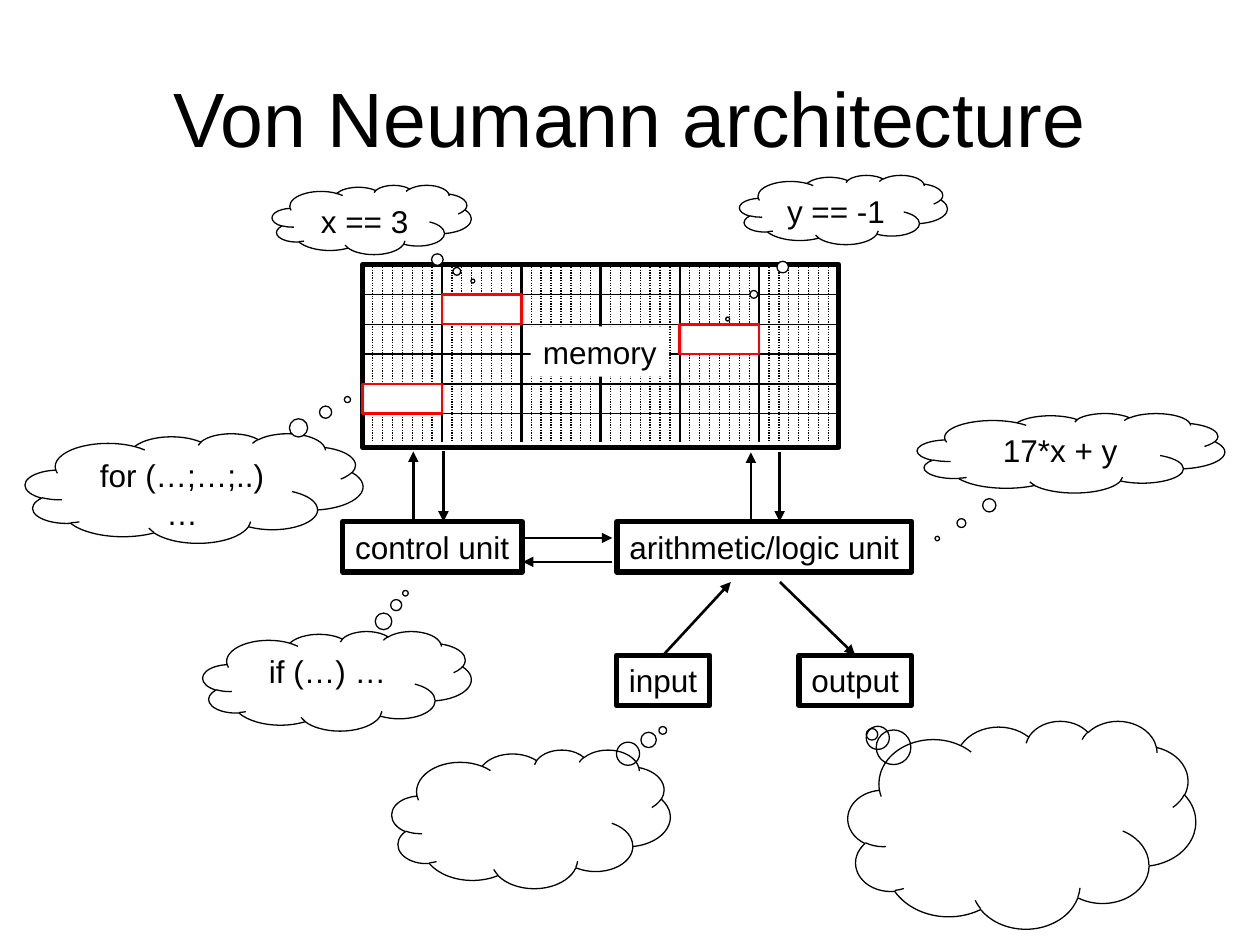
"""Build a slide that explains the Von Neumann architecture."""
from typing import NamedTuple, Optional

from lxml.etree import SubElement
from pptx import Presentation
from pptx.dml.color import RGBColor
from pptx.enum.dml import MSO_LINE
from pptx.enum.shapes import MSO_CONNECTOR, MSO_SHAPE
from pptx.enum.text import MSO_ANCHOR, MSO_AUTO_SIZE, PP_ALIGN
from pptx.oxml.ns import qn
from pptx.util import Pt

COLORS = {"ink": "000000", "paper": "FFFFFF", "cell": "FF0000"}
FONT = "Arial"
THIN, MEDIUM, THICK = 0.75, 1.5, 3
TOP_SIDE = 0

MEMORY_LEFT, MEMORY_TOP = 207.3, 151.2
MEMORY_WIDTH, MEMORY_HEIGHT = 272, 104.4
COLUMNS, ROWS, BITS = 6, 6, 8
COLUMN_WIDTH, ROW_HEIGHT = 45.3, 17.05
GRID_BOTTOM = 252.7


class Unit(NamedTuple):
    text: str
    left: float
    top: float
    width: float
    height: float = 28.8


class Arrow(NamedTuple):
    start: tuple[float, float]
    end: tuple[float, float]
    start_unit: Optional[str] = None
    end_unit: Optional[str] = None


class Cell(NamedTuple):
    column: int
    row: int


class Cloud(NamedTuple):
    text: str
    left: float
    top: float
    width: float
    height: float
    tip: tuple[float, float]
    fill: Optional[str] = None


PROCESSORS = [
    Unit("control unit", 195.9, 298.1, 102.5),
    Unit("arithmetic/logic unit", 352.6, 298.1, 168.5),
]
DEVICES = [
    Unit("input", 352.3, 374.4, 53.3),
    Unit("output", 456.6, 374.4, 64.1),
]
LABEL = Unit("memory", 303.2, 186.5, 79.2)
ARROWS = [
    Arrow((236.2, 298.1), (236.2, 258)),
    Arrow((429.1, 298.1), (429.1, 258.5)),
    Arrow((253.4, 258), (253.4, 298.1)),
    Arrow((445.5, 258.5), (445.5, 298.1)),
    Arrow((298.8, 307.4), (349.9, 307.4)),
    Arrow((349.9, 321.1), (298.8, 321.1)),
    Arrow((445.7, 332.6), (486, 372.2), end_unit="output"),
    Arrow((378, 372.2), (417.6, 332.6), start_unit="input"),
]
CELLS = [Cell(1, 1), Cell(4, 2), Cell(0, 4)]
CLOUDS = [
    Cloud("17*x + y", 524.2, 236.2, 175.7, 45.4, (-0.435, 1.076)),
    Cloud("", 223.9, 428.4, 159.1, 79.2, (0.473, -0.639)),
    Cloud("", 484.6, 411.8, 198.7, 118.8, (-0.431, -0.434)),
    Cloud("if (…) …", 115.9, 360.7, 153.4, 56.9, (0.255, -0.882)),
    Cloud("x == 3", 155.5, 105.8, 113.8, 39.6, (0.508, 0.885), "paper"),
    Cloud("y == -1", 422.6, 100.1, 118.8, 39.6, (-0.557, 1.576), "paper"),
    Cloud("for (…;…;..) …", 14.4, 247.7, 193, 62.6, (0.454, -0.809), "paper"),
]


def color(name: str) -> RGBColor:
    """Return the named colour."""
    return RGBColor.from_string(COLORS[name])


def write(box, text: str, size: float, alignment: PP_ALIGN) -> None:
    """Put formatted text in a shape."""
    box.text_frame.text = text
    for paragraph in box.text_frame.paragraphs:
        paragraph.alignment = alignment
        for span in paragraph.runs:
            span.font.name = FONT
            span.font.size = Pt(size)
            span.font.color.rgb = color("ink")


def add_box(shapes, kind: MSO_SHAPE, frame: tuple, fill: Optional[str],
            line: Optional[str], weight: float = THIN):
    """Add a flat preset shape with the given fill and outline."""
    box = shapes.add_shape(kind, *map(Pt, frame))
    box.shadow.inherit = False
    if fill:
        box.fill.solid()
        box.fill.fore_color.rgb = color(fill)
    else:
        box.fill.background()
    if line:
        box.line.color.rgb = color(line)
        box.line.width = Pt(weight)
    else:
        box.line.fill.background()
    return box


def add_line(shapes, start: tuple, end: tuple, weight: float,
             dotted: bool = False, arrow: bool = False):
    """Add a straight line, dotted or with an arrowhead on request."""
    line = shapes.add_connector(MSO_CONNECTOR.STRAIGHT, *map(Pt, start + end))
    line.line.color.rgb = color("ink")
    line.line.width = Pt(weight)
    if dotted:
        line.line.dash_style = MSO_LINE.ROUND_DOT
    if arrow:
        SubElement(line.line._get_or_add_ln(), qn("a:tailEnd"), type="triangle")
    SubElement(line._element.spPr, qn("a:effectLst"))
    return line


def add_unit(shapes, unit: Unit, fill: Optional[str] = None,
             line: Optional[str] = "ink"):
    """Add a rectangle with a one-line label and room to its right."""
    box = add_box(shapes, MSO_SHAPE.RECTANGLE, unit[1:], fill, line, THICK)
    write(box, unit.text, 18, PP_ALIGN.LEFT)
    box.text_frame.margin_right = Pt(0)
    box.text_frame.word_wrap = True
    box.text_frame.auto_size = MSO_AUTO_SIZE.NONE
    box.text_frame.vertical_anchor = MSO_ANCHOR.TOP
    return box


def add_memory(shapes) -> None:
    """Add the memory block with its rows, words and bits."""
    grid = shapes.add_group_shape().shapes
    frame = (MEMORY_LEFT, MEMORY_TOP, MEMORY_WIDTH, MEMORY_HEIGHT)
    add_box(grid, MSO_SHAPE.RECTANGLE, frame, None, "ink", THICK)
    for row in range(1, ROWS):
        y = MEMORY_TOP + row * ROW_HEIGHT
        add_line(grid, (MEMORY_LEFT, y), (MEMORY_LEFT + MEMORY_WIDTH, y), THIN)
    for bit in range(1, COLUMNS * BITS):
        x = MEMORY_LEFT + bit * COLUMN_WIDTH / BITS
        dotted = bit % BITS != 0
        add_line(grid, (x, MEMORY_TOP), (x, GRID_BOTTOM),
                 THIN if dotted else MEDIUM, dotted=dotted)


def add_cell(shapes, cell: Cell) -> None:
    """Highlight one memory cell."""
    frame = (MEMORY_LEFT + cell.column * COLUMN_WIDTH,
             MEMORY_TOP + cell.row * ROW_HEIGHT, COLUMN_WIDTH, ROW_HEIGHT)
    add_box(shapes, MSO_SHAPE.RECTANGLE, frame, "paper", "cell", MEDIUM)


def add_cloud(shapes, cloud: Cloud) -> None:
    """Add a thought cloud whose bubbles lead to its tip."""
    frame = (cloud.left, cloud.top, cloud.width, cloud.height)
    box = add_box(shapes, MSO_SHAPE.CLOUD_CALLOUT, frame, cloud.fill, "ink")
    box.adjustments[0], box.adjustments[1] = cloud.tip
    if cloud.text:
        write(box, cloud.text, 18, PP_ALIGN.CENTER)
        box.text_frame.vertical_anchor = MSO_ANCHOR.TOP


def main() -> None:
    """Build and save the deck."""
    deck = Presentation()
    deck.slide_width, deck.slide_height = Pt(720), Pt(540)
    page = deck.slides.add_slide(deck.slide_layouts[5])
    shapes = page.shapes
    title = shapes.title
    title.left, title.top, title.width, title.height = map(Pt, (36, 21.6, 648, 90))
    write(title, "Von Neumann architecture", 44, PP_ALIGN.CENTER)
    title.text_frame.vertical_anchor = MSO_ANCHOR.MIDDLE

    for unit in PROCESSORS:
        add_unit(shapes, unit)
    add_memory(shapes)
    add_unit(shapes, LABEL, fill="paper", line=None)
    devices = {unit.text: add_unit(shapes, unit) for unit in DEVICES}
    for arrow in ARROWS:
        line = add_line(shapes, arrow.start, arrow.end, MEDIUM, arrow=True)
        if arrow.start_unit:
            line.begin_connect(devices[arrow.start_unit], TOP_SIDE)
        if arrow.end_unit:
            line.end_connect(devices[arrow.end_unit], TOP_SIDE)
    for cell in CELLS:
        add_cell(shapes, cell)
    for cloud in CLOUDS:
        add_cloud(shapes, cloud)
    deck.save("out.pptx")


if __name__ == "__main__":
    main()
